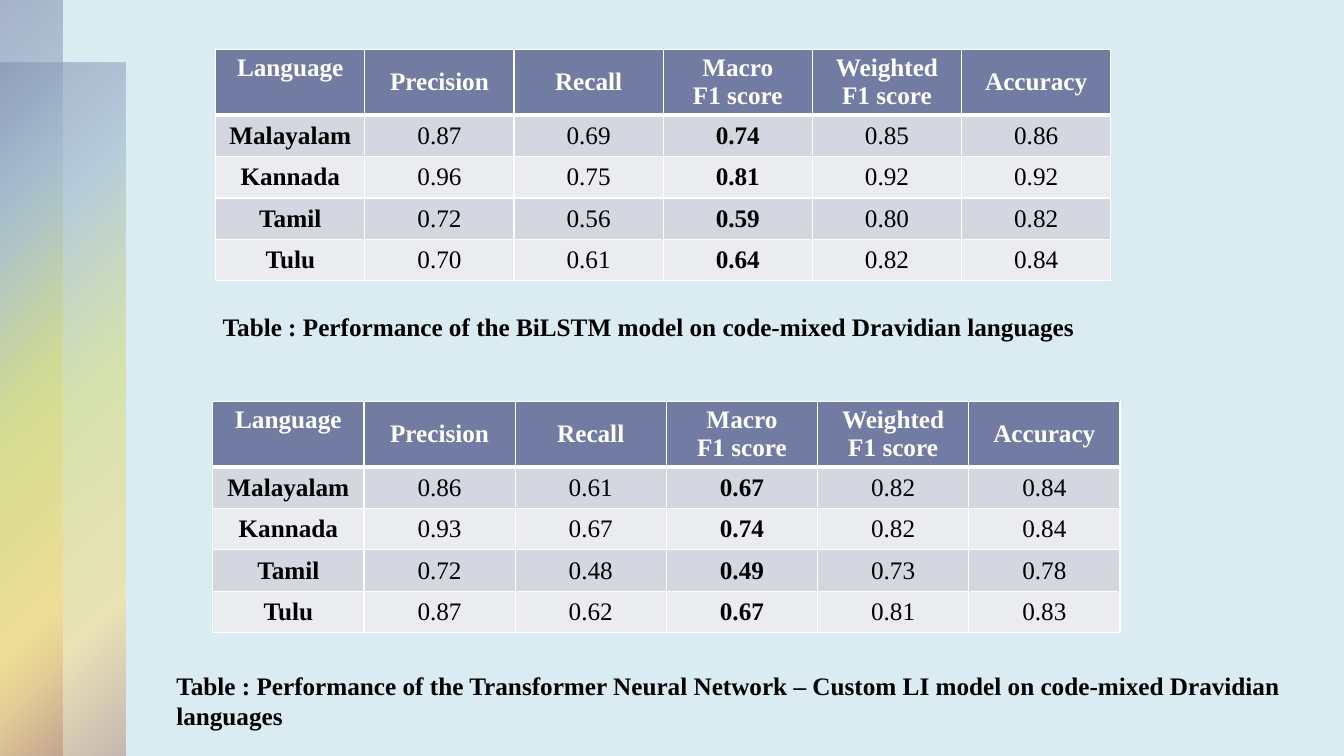
"""Build a slide with two tables of language model scores and their captions."""
from dataclasses import dataclass

from lxml import etree
from pptx import Presentation
from pptx import util as u
from pptx.dml.color import RGBColor
from pptx.enum import shapes, text
from pptx.oxml import ns, parse_xml

WHITE = RGBColor(0xFF, 0xFF, 0xFF)
BLACK = RGBColor(0x00, 0x00, 0x00)
SKY = RGBColor(0xDA, 0xEC, 0xF1)
SLATE = RGBColor(0x72, 0x7C, 0xA3)
STEEL = RGBColor(0x9F, 0xB8, 0xCD)
LIME = RGBColor(0xD2, 0xDA, 0x7A)
SAND = RGBColor(0xFA, 0xDA, 0x7A)
CLAY = RGBColor(0xB8, 0x84, 0x72)
BANDS = (RGBColor(0xD4, 0xD6, 0xE0), RGBColor(0xEB, 0xEC, 0xF0))
STOPS = ((0, SLATE, 50), (25, STEEL, 60), (50, LIME, 55),
         (81, SAND, 50), (99, CLAY, 50), (100, CLAY, 50))

FONT = "Times New Roman"
WIDTH, HEIGHT = u.Inches(13.33), u.Inches(7.5)
HEADER_ROW, BODY_ROW = 8.53, 5.47
HEADERS = ("Language", "Precision", "Recall", "Macro\nF1 score",
           "Weighted\nF1 score", "Accuracy")
BOLD_COLUMNS = (HEADERS.index("Language"), HEADERS.index("Macro\nF1 score"))


@dataclass(frozen=True)
class Box:
    """Position and size in percent of the slide."""
    left: float
    top: float
    width: float
    height: float

    def emu(self) -> tuple:
        """Return the box as slide lengths."""
        return across(self.left), down(self.top), across(self.width), down(self.height)


@dataclass(frozen=True)
class Caption:
    """A line of text under a table."""
    box: Box
    words: str


@dataclass(frozen=True)
class ScoreTable:
    """Scores by language, with place and column width in percent."""
    left: float
    top: float
    column: float
    rows: tuple


STRIPS = (Box(0, 8.27, 9.3, 91.73), Box(0, 0, 4.65, 100))
TABLES = (
    ScoreTable(16.05, 6.53, 11.1, (
        ("Malayalam", "0.87", "0.69", "0.74", "0.85", "0.86"),
        ("Kannada", "0.96", "0.75", "0.81", "0.92", "0.92"),
        ("Tamil", "0.72", "0.56", "0.59", "0.80", "0.82"),
        ("Tulu", "0.70", "0.61", "0.64", "0.82", "0.84"))),
    ScoreTable(15.83, 53.07, 11.25, (
        ("Malayalam", "0.86", "0.61", "0.67", "0.82", "0.84"),
        ("Kannada", "0.93", "0.67", "0.74", "0.82", "0.84"),
        ("Tamil", "0.72", "0.48", "0.49", "0.73", "0.78"),
        ("Tulu", "0.87", "0.62", "0.67", "0.81", "0.83"))),
)
CAPTIONS = (
    Caption(Box(15.83, 40.53, 66.09, 5.33),
            "Table : Performance of the BiLSTM model on code-mixed Dravidian languages"),
    Caption(Box(12.38, 88, 85, 9.47),
            "Table : Performance of the Transformer Neural Network – Custom LI model "
            "on code-mixed Dravidian languages"),
)


def across(share: float) -> int:
    """Turn a percentage of the slide width into a length."""
    return round(WIDTH * share / 100)


def down(share: float) -> int:
    """Turn a percentage of the slide height into a length."""
    return round(HEIGHT * share / 100)


def write(tf, words: str, *, color: RGBColor = BLACK, bold: bool = True,
          align=text.PP_ALIGN.LEFT) -> None:
    """Fill a text frame, one paragraph for each line."""
    tf.text = words
    for p in tf.paragraphs:
        p.alignment = align
        for r in p.runs:
            r.font.name, r.font.size = FONT, u.Pt(18)
            r.font.bold, r.font.color.rgb = bold, color


def add_strip(slide, box: Box) -> None:
    """Draw a translucent strip with a radial gradient from its top left."""
    sp = slide.shapes.add_shape(shapes.MSO_SHAPE.RECTANGLE, *box.emu())
    sp.shadow.inherit = False
    sp.line.fill.background()
    stops = "".join(
        f'<a:gs pos="{pos * 1000}"><a:srgbClr val="{color}">'
        f'<a:alpha val="{alpha * 1000}"/></a:srgbClr></a:gs>'
        for pos, color, alpha in STOPS)
    gradient = parse_xml(
        f'<a:gradFill {ns.nsdecls("a")}><a:gsLst>{stops}</a:gsLst><a:path path="circle">'
        '<a:fillToRect r="100000" b="100000"/></a:path></a:gradFill>')
    sp.element.spPr.find(ns.qn("a:prstGeom")).addnext(gradient)


def set_borders(cell, top: float, bottom: float) -> None:
    """Give a cell white borders, with the top and bottom widths in points."""
    tc_pr = cell._tc.get_or_add_tcPr()
    for i, (side, width) in enumerate(zip("LRTB", (1, 1, top, bottom))):
        ln = etree.Element(ns.qn(f"a:ln{side}"), w=str(u.Pt(width)))
        fill = etree.SubElement(ln, ns.qn("a:solidFill"))
        etree.SubElement(fill, ns.qn("a:srgbClr"), val=str(WHITE))
        tc_pr.insert(i, ln)


def add_scores(slide, scores: ScoreTable) -> None:
    """Draw a banded table with a header row."""
    rows = (HEADERS, *scores.rows)
    box = Box(scores.left, scores.top, scores.column * len(HEADERS),
              HEADER_ROW + BODY_ROW * len(scores.rows))
    table = slide.shapes.add_table(len(rows), len(HEADERS), *box.emu()).table
    for column in table.columns:
        column.width = across(scores.column)
    for i, row in enumerate(rows):
        header = i == 0
        table.rows[i].height = down(HEADER_ROW if header else BODY_ROW)
        for j, words in enumerate(row):
            cell = table.cell(i, j)
            cell.fill.solid()
            cell.fill.fore_color.rgb = SLATE if header else BANDS[(i - 1) % 2]
            corner = header and j == 0
            cell.vertical_anchor = text.MSO_ANCHOR.TOP if corner else text.MSO_ANCHOR.MIDDLE
            write(cell.text_frame, words, color=WHITE if header else BLACK,
                  bold=header or j in BOLD_COLUMNS, align=text.PP_ALIGN.CENTER)
            set_borders(cell, top=3 if i == 1 else 1, bottom=3 if header else 1)


def add_caption(slide, caption: Caption) -> None:
    """Place a wrapped caption."""
    tf = slide.shapes.add_textbox(*caption.box.emu()).text_frame
    tf.word_wrap = True
    tf.auto_size = text.MSO_AUTO_SIZE.SHAPE_TO_FIT_TEXT
    write(tf, caption.words)


def main() -> None:
    """Build and save the slide."""
    prs = Presentation()
    prs.slide_width, prs.slide_height = WIDTH, HEIGHT
    slide = prs.slides.add_slide(prs.slide_layouts.get_by_name("Blank"))
    slide.background.fill.solid()
    slide.background.fill.fore_color.rgb = SKY
    for strip in STRIPS:
        add_strip(slide, strip)
    for scores in TABLES:
        add_scores(slide, scores)
    for caption in CAPTIONS:
        add_caption(slide, caption)
    prs.save("out.pptx")


if __name__ == "__main__":
    main()
